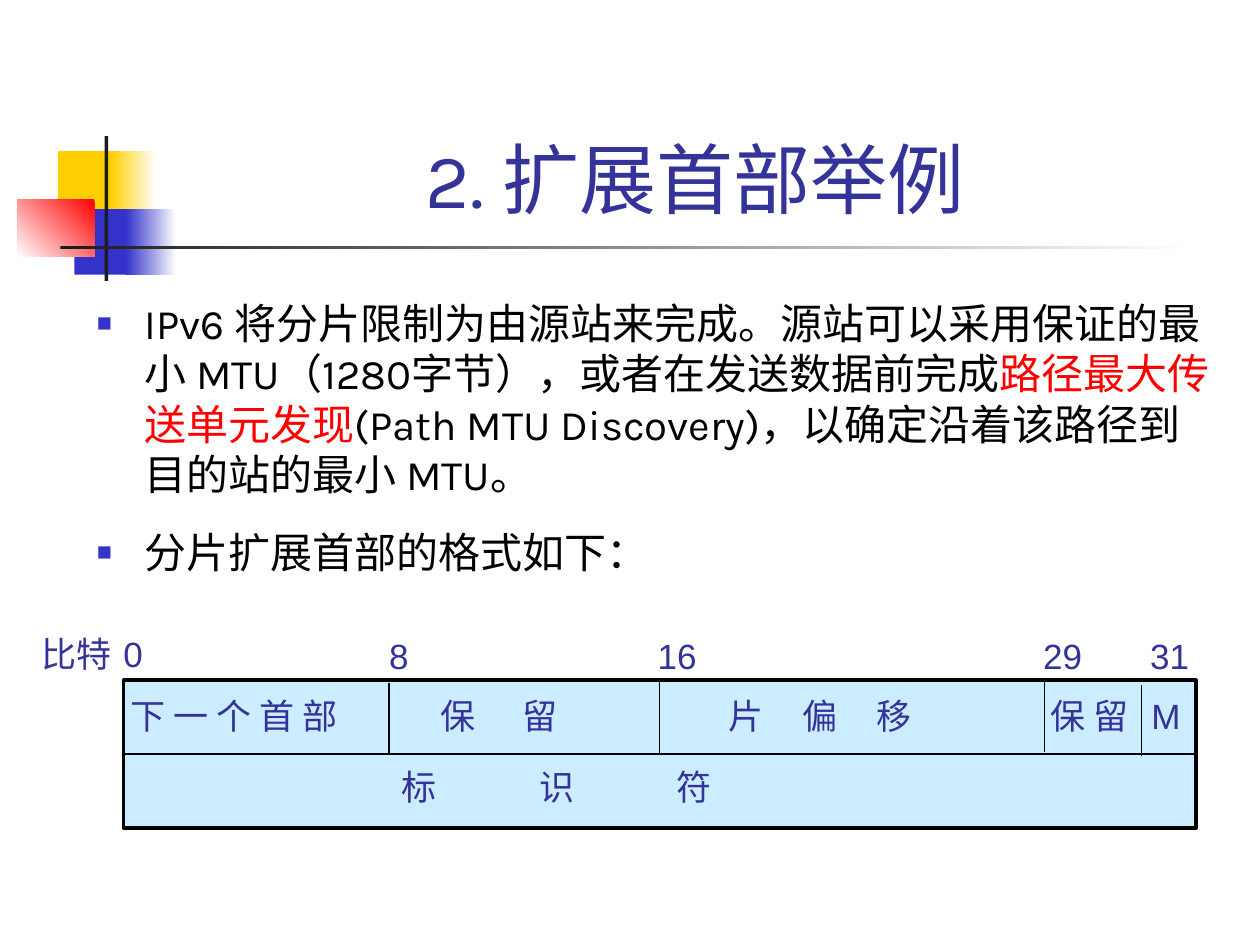
from lxml.etree import SubElement
from pptx import Presentation
from pptx.dml.color import RGBColor
from pptx.enum.shapes import MSO_CONNECTOR as Connector, MSO_SHAPE as Shape
from pptx.enum.text import MSO_ANCHOR as Anchor, MSO_AUTO_SIZE as AutoSize, PP_ALIGN as Align
from pptx.oxml.ns import qn
from pptx.util import Inches, Pt

COLUMNS, ROWS = 100, 75
TOP, LEFT, RIGHT = 0, 1, 3


def color(value):
    return RGBColor.from_string(value)


def write(paragraph, text, *, size, font, fill):
    run = paragraph.add_run()
    run.text = text
    run.font.size = Pt(size)
    run.font.name = font
    run.font.color.rgb = color(fill)


class SlideBuilder:
    heading_font, label_font = "Karla", "Arial"
    ink, black, red, white = "333399", "000000", "FF0000", "FFFFFF"
    blue, yellow, dark, pale = "3333CC", "FFCF01", "1C1C1C", "CCECFF"

    def __init__(self, presentation):
        self.column = presentation.slide_width / COLUMNS
        self.row = presentation.slide_height / ROWS
        self.slide = presentation.slides.add_slide(presentation.slide_layouts[5])
        self.shapes = self.slide.shapes

    def place(self, left, top, width, height):
        return (round(left * self.column), round(top * self.row),
                round(width * self.column), round(height * self.row))

    def rectangle(self, *area, fill, fade=None, angle=0, border=None):
        shape = self.shapes.add_shape(Shape.RECTANGLE, *self.place(*area))
        shape.shadow.inherit = False
        if fade:
            shape.fill.gradient()
            shape.fill.gradient_angle = angle
            for stop, value in zip(shape.fill.gradient_stops, (fill, fade)):
                stop.color.rgb = color(value)
        else:
            shape.fill.solid()
            shape.fill.fore_color.rgb = color(fill)
        if border:
            shape.line.color.rgb = color(self.black)
            shape.line.width = Pt(border)
        else:
            shape.line.fill.background()
        return shape

    def line(self, left, top, right, bottom):
        begin_x, begin_y, end_x, end_y = self.place(left, top, right, bottom)
        connector = self.shapes.add_connector(Connector.STRAIGHT, begin_x, begin_y, end_x, end_y)
        connector.line.color.rgb = color(self.black)
        connector.line.width = Pt(1)
        SubElement(connector._element.spPr, qn("a:effectLst"))
        return connector

    def title(self, text, *area):
        shape = self.shapes.title
        shape.left, shape.top, shape.width, shape.height = self.place(*area)
        frame = shape.text_frame
        frame.vertical_anchor = Anchor.BOTTOM
        frame.auto_size = AutoSize.NONE
        paragraph = frame.paragraphs[0]
        paragraph.alignment = Align.CENTER
        write(paragraph, text, size=44, font=self.heading_font, fill=self.ink)

    def bullets(self, items, *area, gap):
        frame = self.shapes.add_textbox(*self.place(*area)).text_frame
        frame.word_wrap = True
        for index, runs in enumerate(items):
            paragraph = frame.add_paragraph() if index else frame.paragraphs[0]
            self.add_bullet(paragraph)
            if index:
                paragraph.space_before = Pt(gap)
            for text, fill in runs:
                write(paragraph, text, size=24, font=self.heading_font, fill=fill)

    def add_bullet(self, paragraph):
        properties = paragraph._p.get_or_add_pPr()
        indent = Inches(0.38)
        properties.set("marL", str(indent))
        properties.set("indent", str(-indent))
        bullet_color = SubElement(properties, qn("a:buClr"))
        SubElement(bullet_color, qn("a:srgbClr"), val=self.blue)
        SubElement(properties, qn("a:buSzPct"), val="60000")
        SubElement(properties, qn("a:buFont"), typeface=self.label_font)
        SubElement(properties, qn("a:buChar"), char="■")

    def label(self, text, left, top, width, pitch=0):
        shape = self.shapes.add_textbox(*self.place(left, top, width, 4.3))
        frame = shape.text_frame
        frame.word_wrap = bool(pitch)
        frame.auto_size = AutoSize.SHAPE_TO_FIT_TEXT
        paragraph = frame.paragraphs[0]
        if pitch:
            tabs = SubElement(paragraph._p.get_or_add_pPr(), qn("a:tabLst"))
            for step in range(1, text.count("\t") + 1):
                SubElement(tabs, qn("a:tab"), pos=str(round(step * pitch * self.column)), algn="l")
        write(paragraph, text, size=20, font=self.label_font, fill=self.ink)


def draw_ornament(builder):
    white = builder.white
    builder.rectangle(4.6, 12, 4.8, 5.2, fill=builder.yellow)
    builder.rectangle(8.8, 12, 3.6, 5.2, fill=builder.yellow, fade=white)
    builder.rectangle(5.9, 16.6, 4.6, 5.2, fill=builder.blue)
    builder.rectangle(10, 16.6, 4, 5.2, fill=builder.blue, fade=white)
    builder.rectangle(1.4, 15.8, 6.1, 4.6, fill=builder.red, fade=white, angle=225)
    builder.rectangle(8.3, 10.8, 0.3, 11.5, fill=builder.dark)
    builder.rectangle(4.8, 19.5, 90, 0.3, fill=builder.dark, fade=white)


def draw_header_format(builder):
    header = builder.rectangle(9.8, 54, 85.1, 11.7, fill=builder.pale, border=2.25)
    middle = builder.line(9.8, 59.85, 94.9, 59.85)
    middle.begin_connect(header, LEFT)
    middle.end_connect(header, RIGHT)
    for x, top in ((30.9, 54.2), (82.9, 54.1), (90.6, 54.4)):
        builder.line(x, top, x, top + 5.6)
    builder.line(52.35, 54, 52.35, 59.8).begin_connect(header, TOP)

    for text, left, top, width in (
        ("比特", 2.3, 49.7, 7.6), ("0", 8.8, 49.7, 3.5), ("8", 29.9, 49.9, 3.5),
        ("16", 51.2, 49.9, 5.1), ("29", 81.8, 49.9, 5.1), ("31", 90.3, 49.9, 5.1),
    ):
        builder.label(text, left, top, width)

    for text, left, width, pitch in (
        ("下 一 个 首 部", 9.4, 21.5, 0), ("保\t留", 34, 15.9, 6.5),
        ("片\t偏\t移", 56.8, 24.3, 5.9), ("保 留", 82.4, 8.9, 0), ("M", 90.4, 4.3, 0),
    ):
        builder.label(text, left, 54.6, width, pitch)
    builder.label("标\t识\t符", 30.9, 60.3, 46.5, 10.9)


def main():
    presentation = Presentation()
    presentation.slide_width, presentation.slide_height = Inches(10), Inches(7.5)
    builder = SlideBuilder(presentation)
    draw_ornament(builder)
    builder.title("2. 扩展首部举例", 12.6, 2.3, 85.2, 16)
    builder.bullets([
        [("IPv6 将分片限制为由源站来完成。源站可以采用保证的最小 MTU（1280字节），"
          "或者在发送数据前完成", builder.black),
         ("路径最大传送单元发现", builder.red),
         ("(Path MTU Discovery)，以确定沿着该路径到目的站的最小 MTU。", builder.black)],
        [("分片扩展首部的格式如下：", builder.black)],
    ], 6.7, 23.1, 91.2, 25.5, gap=16)
    draw_header_format(builder)
    presentation.save("out.pptx")


if __name__ == "__main__":
    main()
